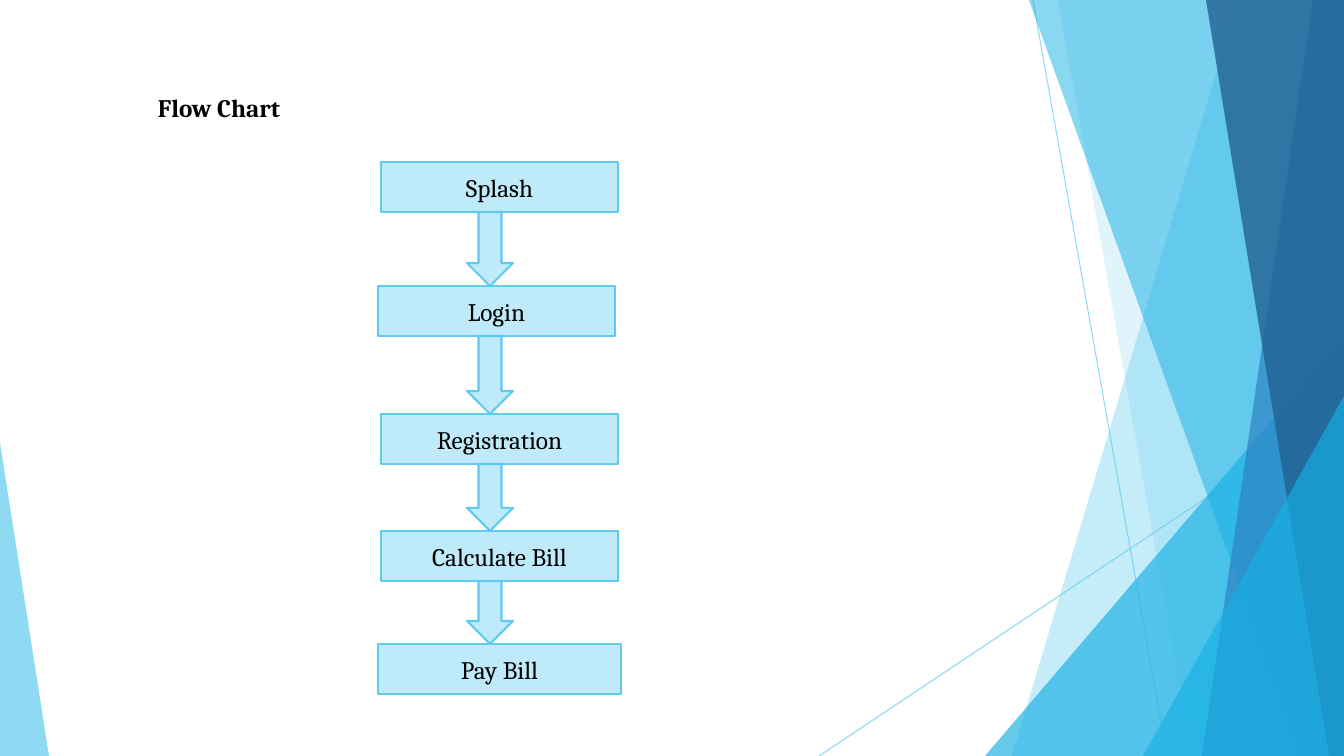
from lxml import etree
from pptx import Presentation
from pptx.dml.color import RGBColor
from pptx.enum.shapes import MSO_CONNECTOR, MSO_SHAPE
from pptx.enum.text import MSO_ANCHOR, PP_ALIGN
from pptx.oxml.ns import qn
from pptx.util import Pt

STRAIGHT = MSO_CONNECTOR.STRAIGHT
RECTANGLE = MSO_SHAPE.RECTANGLE
DOWN_ARROW = MSO_SHAPE.DOWN_ARROW
TRIANGLE = MSO_SHAPE.ISOSCELES_TRIANGLE
MIDDLE = MSO_ANCHOR.MIDDLE
LEFT, CENTER = PP_ALIGN.LEFT, PP_ALIGN.CENTER

EMU_PER_PX = 914400 / 100.8
PAGE = (0, 0, 1344, 756)
COLORS = {
    "sky": "5FCBEF",
    "pale": "BFEAF9",
    "cyan": "17B0E4",
    "blue": "2E83C3",
    "navy": "226292",
    "text": "000000",
}
FONT = {"name": "Cambria", "size": Pt(18)}

# label, left, top, width, outline in points
STEPS = [
    ("Splash", 3, 0, 237, 1),
    ("Login", 0, 124, 237, 1.5),
    ("Registration", 3, 252, 237, 1.5),
    ("Calculate Bill", 3, 369, 237, 1.5),
    ("Pay Bill", 0, 482, 243, 1.5),
]
STEP_HEIGHT = 50
ARROW_LEFT, ARROW_WIDTH = 89, 46


def px(*lengths):
    return [round(length * EMU_PER_PX) for length in lengths]


def rgb(name):
    return RGBColor.from_string(COLORS[name])


def set_alpha(element, percent):
    color = next(element.iter(qn("a:srgbClr")))
    etree.SubElement(color, qn("a:alpha")).set("val", str(percent * 1000))


def paint(shape, fill, alpha=100, outline=0):
    shape.shadow.inherit = False
    shape.fill.solid()
    shape.fill.fore_color.rgb = rgb(fill)
    if alpha < 100:
        set_alpha(shape._element.spPr, alpha)
    if outline:
        shape.line.color.rgb = rgb("sky")
        shape.line.width = Pt(outline)
    else:
        shape.line.fill.background()


def write(shape, text, align, bold=False):
    para = shape.text_frame.paragraphs[0]
    para.alignment = align
    span = para.add_run()
    span.text = text
    for key, value in {**FONT, "bold": bold}.items():
        setattr(span.font, key, value)
    span.font.color.rgb = rgb("text")


def add_hairline(page, *ends):
    line = page.shapes.add_connector(STRAIGHT, *px(*ends))
    line.line.color.rgb = rgb("sky")
    line.line.width = Pt(0.75)
    properties = line._element.spPr
    set_alpha(properties, 70)
    etree.SubElement(properties, qn("a:effectLst"))


def add_shard(page, box, top_x, bottom_x, color, alpha):
    """Fill the box to the right of a slanted edge."""
    left, top, width, height = box
    right, bottom = left + width, top + height
    builder = page.shapes.build_freeform(left + top_x, top, scale=EMU_PER_PX)
    builder.add_line_segments(
        [(right, top), (right, bottom), (left + bottom_x, bottom)], close=True)
    paint(builder.convert_to_shape(), color, alpha)


def add_corner(page, box, color, alpha, apex):
    """Right-angled triangle; apex 0 peaks at the left, 1 at the right."""
    corner = page.shapes.add_shape(TRIANGLE, *px(*box))
    corner.adjustments[0] = apex
    paint(corner, color, alpha)


def add_backdrop(page, box):
    left, top, width, height = box
    right, bottom = left + width, top + height
    add_hairline(page, left + 1033, top, left + 1167, bottom)
    add_hairline(page, right, top + 406, left + 819, bottom)
    add_shard(page, box, 1238, 1012, "sky", 36)
    add_shard(page, box, 1058, 1192, "sky", 20)
    add_corner(page, (right - 359, bottom - 420, 359, 420), "cyan", 66, 1)
    add_shard(page, box, 1029, 1301, "cyan", 50)
    add_shard(page, box, 1313, 1202, "blue", 70)
    add_shard(page, box, 1206, 1329, "navy", 80)
    add_corner(page, (right - 201, bottom - 360, 201, 360), "cyan", 66, 1)
    add_corner(page, (left, bottom - 313, 49, 313), "sky", 70, 0)


def add_title(page, box):
    title = page.shapes.add_textbox(*px(*box))
    title.text_frame.word_wrap = True
    write(title, "Flow Chart", LEFT, bold=True)


def add_flow(page, left, top):
    for label, x, y, width, outline in STEPS:
        step = page.shapes.add_shape(
            RECTANGLE, *px(left + x, top + y, width, STEP_HEIGHT))
        paint(step, "pale", outline=outline)
        step.text_frame.vertical_anchor = MIDDLE
        write(step, label, CENTER)
    for (_, _, y, _, _), (_, _, next_y, _, _) in zip(STEPS, STEPS[1:]):
        start = y + STEP_HEIGHT
        arrow = page.shapes.add_shape(DOWN_ARROW, *px(
            left + ARROW_LEFT, top + start, ARROW_WIDTH, next_y - start))
        paint(arrow, "pale", outline=1.5)


def main():
    deck = Presentation()
    deck.slide_width, deck.slide_height = px(*PAGE[2:])
    page = deck.slides.add_slide(deck.slide_layouts[6])
    add_backdrop(page, PAGE)
    add_title(page, (148, 87, 274, 40))
    add_flow(page, 378, 162)
    deck.save("out.pptx")


if __name__ == "__main__":
    main()
